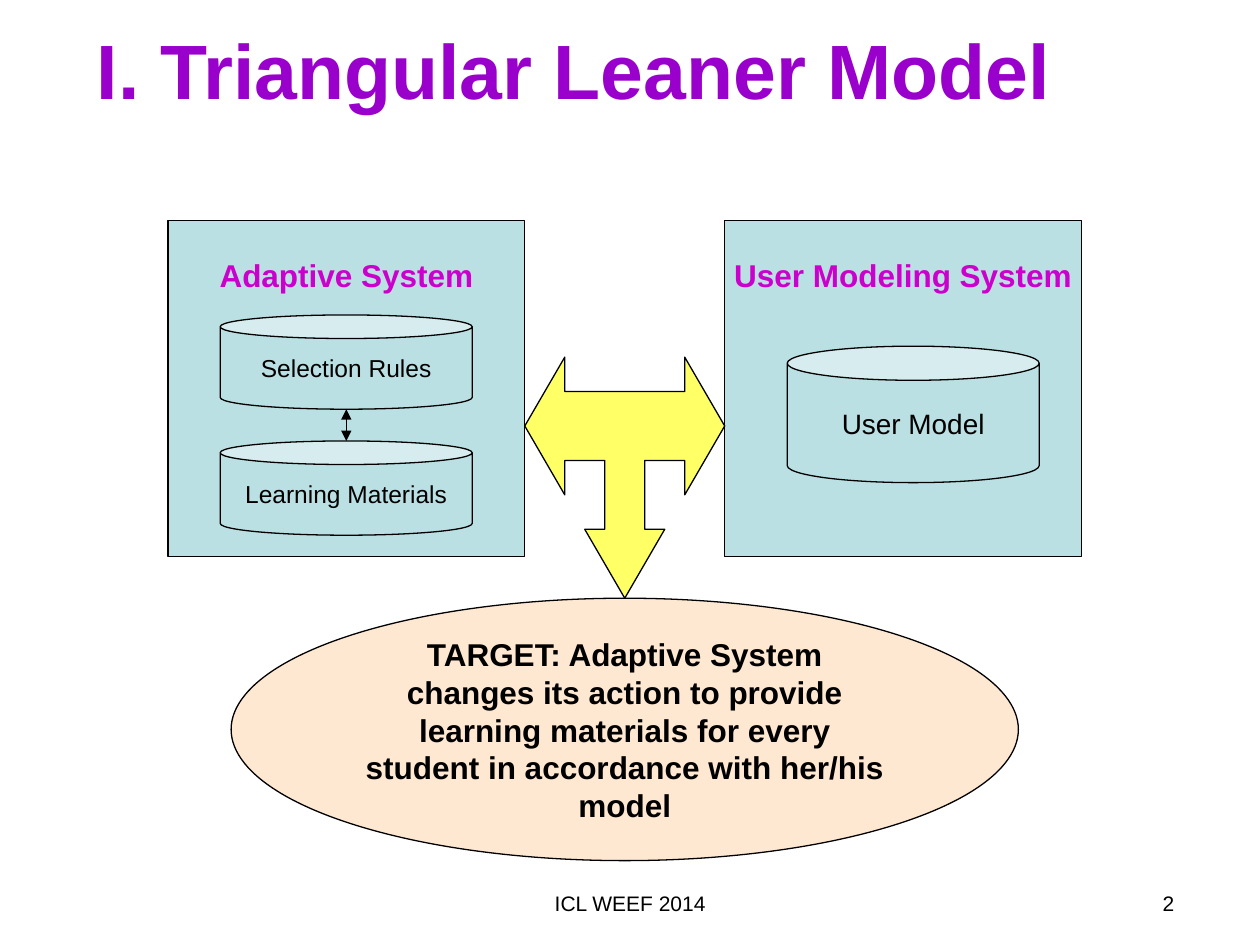
from lxml import etree
from pptx import Presentation, util as u
from pptx.dml.color import RGBColor
from pptx.enum import shapes, text
from pptx.oxml.ns import qn

# Content; lengths in cm as (left, top, width, height)
INK, TEAL, YELLOW, PEACH = "000000", "BBE0E3", "FFFF66", "FFE8D1"
PURPLE, MAGENTA = "9900CC", "CC00CC"
TITLE = "I. Triangular Leaner Model"
TARGET = ("TARGET: Adaptive System changes its action to provide learning "
          "materials for every student in accordance with her/his model")
FOOTERS = [("ICL WEEF 2014", (8.68, 17.82, 8.05, 1.32), "CENTER"),
           ("2", (18, 17.82, 5.92, 1.32), "RIGHT")]
PANEL_TOP, PANEL_WIDTH, PANEL_HEIGHT = 4.45, 7.19, 6.77
PANELS = [("Adaptive System", 3.39), ("User Modeling System", 14.61)]
STORES = [("Selection Rules", (4.44, 6.35, 5.08, 1.9), 14),
          ("Learning Materials", (4.44, 8.89, 5.08, 1.9), 14),
          ("User Model", (15.87, 6.98, 5.08, 2.75), 16)]
TARGET_AREA = (4.66, 12.06, 15.87, 5.29)

# Three-way arrow on a 10 by 7 grid: left half from the lower tip up
ARROW_TOP, ARROW_GRID = 7.2, (10, 7)
LEFT_HALF = [(5, 7), (3, 5), (4, 5), (4, 3), (2, 3), (2, 4),
             (0, 2), (2, 0), (2, 1)]

deck = Presentation()
deck.slide_width, deck.slide_height = u.Cm(25.4), u.Cm(19.05)
page = deck.slides.add_slide(deck.slide_layouts[6])


def color(code):
    return RGBColor.from_string(code)


def write(box, words, size, ink=INK, bold=False, align="CENTER",
          anchor="MIDDLE", wrap=True):
    frame = box.text_frame
    frame.text = words
    frame.word_wrap = wrap
    frame.vertical_anchor = text.MSO_ANCHOR[anchor]
    para = frame.paragraphs[0]
    para.alignment = text.PP_ALIGN[align]
    font = para.runs[0].font
    font.name, font.size, font.bold = "Arial", u.Pt(size), bold
    font.color.rgb = color(ink)


def paint(shape, fill):
    shape.shadow.inherit = False
    shape.fill.solid()
    shape.fill.fore_color.rgb = color(fill)
    shape.line.color.rgb = color(INK)
    shape.line.width = u.Pt(0.75)


def add_text(area, words, size, **style):
    box = page.shapes.add_textbox(*map(u.Cm, area))
    write(box, words, size, **style)


def add_block(kind, area, fill):
    shape = page.shapes.add_shape(shapes.MSO_SHAPE[kind], *map(u.Cm, area))
    paint(shape, fill)
    return shape


# Title and footers
add_text((1.7, 0.22, 22.65, 2.35), TITLE, 44, ink=PURPLE, bold=True, align="LEFT")
for words, area, align in FOOTERS:
    add_text(area, words, 12, align=align, anchor="TOP")

# System panels with their headings near the top
panels = []
for words, left in PANELS:
    panel = add_block("RECTANGLE", (left, PANEL_TOP, PANEL_WIDTH, PANEL_HEIGHT), TEAL)
    write(panel, words, 18, ink=MAGENTA, bold=True, anchor="TOP", wrap=False)
    panel.text_frame.margin_top = u.Cm(0.72)
    panels.append(panel)

# Data stores
stores = []
for words, area, size in STORES:
    store = add_block("CAN", area, TEAL)
    store.adjustments[0] = 0.25
    write(store, words, size, wrap=False)
    stores.append(store)

# Target, with side margins that set its line breaks
target = add_block("OVAL", TARGET_AREA, PEACH)
write(target, TARGET, 18, bold=True)
target.text_frame.margin_left = target.text_frame.margin_right = u.Cm(0.32)

# Three-way arrow fills the space between the panels and the target
columns, rows = ARROW_GRID
arrow_left = panels[0].left + panels[0].width
step_x = (panels[1].left - arrow_left) / columns
step_y = (target.top - u.Cm(ARROW_TOP)) / rows
right_half = [(columns - x, y) for x, y in reversed(LEFT_HALF[1:])]
points = [(round(arrow_left + x * step_x), round(u.Cm(ARROW_TOP) + y * step_y))
          for x, y in LEFT_HALF + right_half]
outline = page.shapes.build_freeform(*points[0])
outline.add_line_segments(points[1:], close=True)
paint(outline.convert_to_shape(), YELLOW)

# Double-headed link between the two stores on the left
upper, lower = stores[:2]
middle = upper.left + upper.width // 2
link = page.shapes.add_connector(shapes.MSO_CONNECTOR.STRAIGHT, middle,
                                 upper.top + upper.height, middle, lower.top)
link.line.color.rgb = color(INK)
link.line.width = u.Pt(0.75)
for end in ("a:headEnd", "a:tailEnd"):
    etree.SubElement(link.line._get_or_add_ln(), qn(end), type="triangle")
etree.SubElement(link._element.spPr, qn("a:effectLst"))

deck.save("out.pptx")
